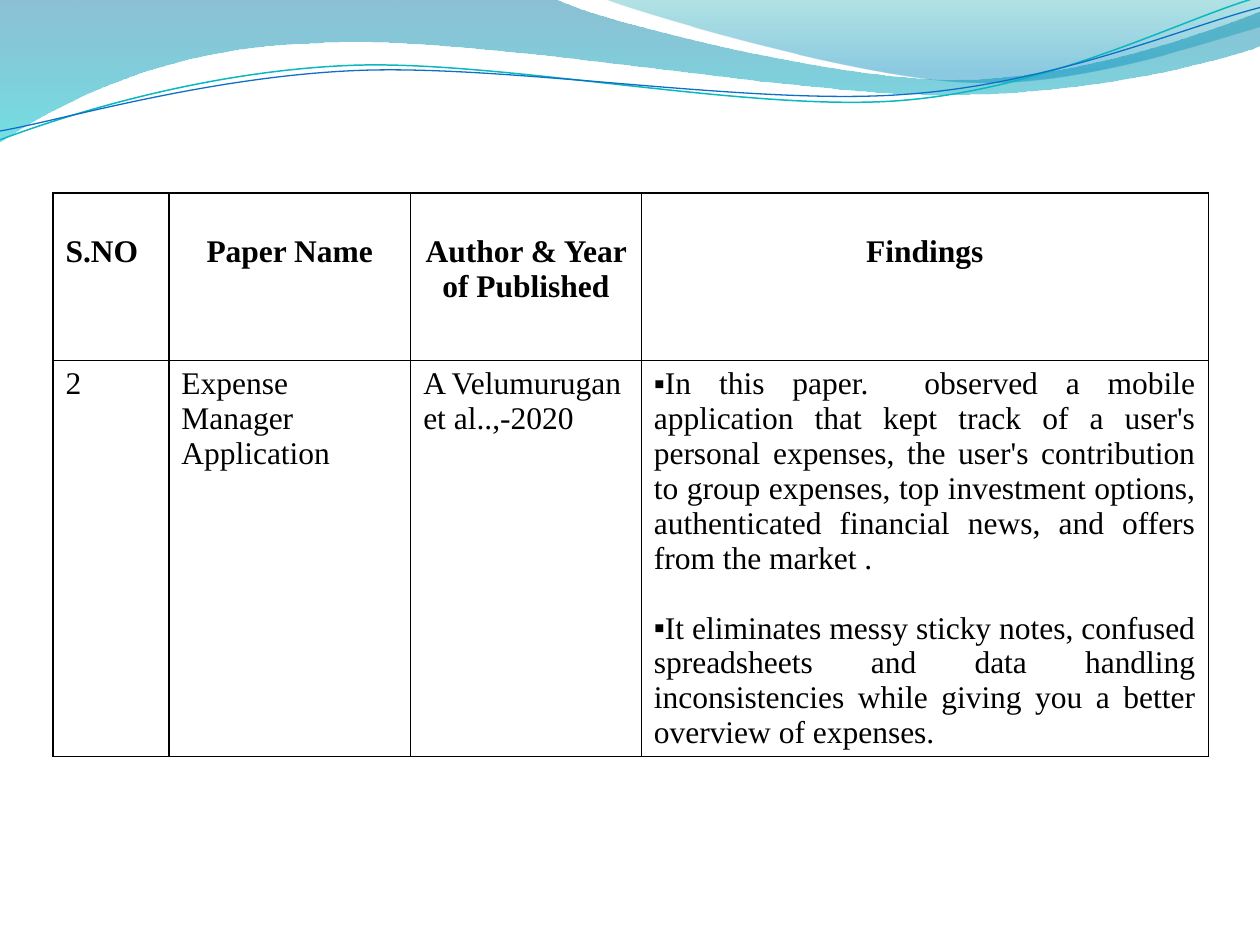
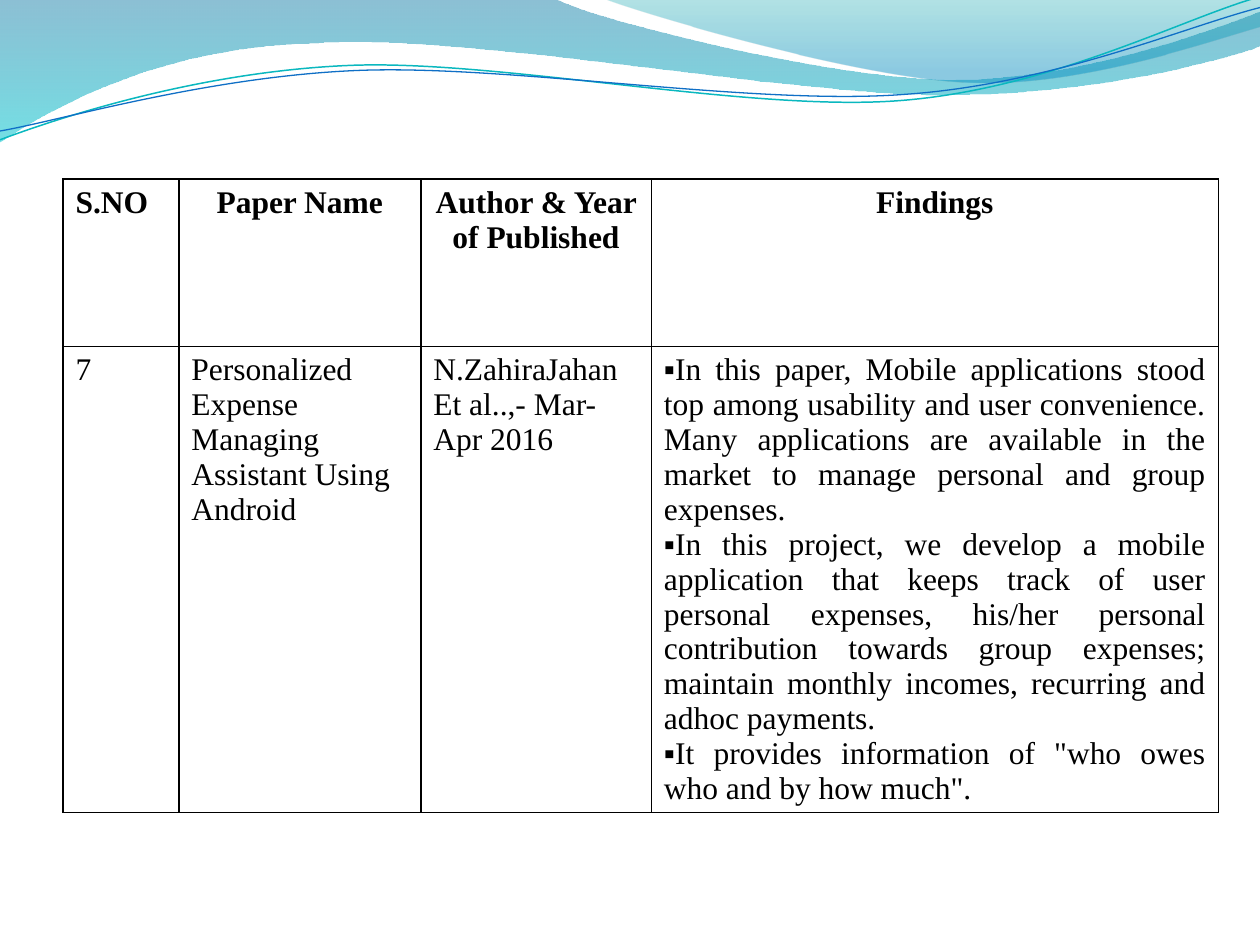
from dataclasses import dataclass

from lxml import etree
from pptx import Presentation
from pptx.dml.color import RGBColor
from pptx.enum.text import PP_ALIGN
from pptx.oxml.ns import qn
from pptx.util import Pt

EMU_PER_PX = 9144
LEFT, CENTER, JUSTIFY = PP_ALIGN.LEFT, PP_ALIGN.CENTER, PP_ALIGN.JUSTIFY

COLORS = {
    "deep_sea": "0074A1",
    "lagoon": "00C6CF",
    "teal": "00A1A9",
    "sky": "008BBF",
    "teal_line": "0AB8BF",
    "blue_line": "0F6FC6",
    "ink": "000000",
}
FONT = "Times New Roman"
BODY_FORMAT = {"name": FONT, "size": Pt(18), "bold": False}
HEADER_FORMAT = {**BODY_FORMAT, "bold": True}
BLANK_LINE = Pt(20)
BORDER_WIDTH = Pt(1)

COLUMN_WIDTHS = (92, 192, 183, 450)
HEADER_HEIGHT = 133
HEADERS = ("S.NO", "Paper Name", "Author & Year of Published", "Findings")
HEADER_ALIGNS = (LEFT, CENTER, CENTER, CENTER)
BODY_ALIGNS = (LEFT, LEFT, LEFT, JUSTIFY)


@dataclass(frozen=True)
class GradientStop:
    """A gradient colour with its position and opacity in percent."""

    position: int
    color: str
    opacity: int


@dataclass(frozen=True)
class Wave:
    """An outline of straight (2 values) and cubic (6 values) segments."""

    start: tuple[int, int]
    segments: tuple[tuple[int, ...], ...]
    stops: tuple[GradientStop, ...] = ()
    line_color: str = ""
    line_width: float = 0


@dataclass(frozen=True)
class PaperReview:
    """One reviewed paper and the layout of its table."""

    left: int
    top: int
    body_height: int
    header_margin: int
    number: str
    title: str
    author: tuple[str, ...]
    findings: tuple[str, ...]
    findings_gap: int


WAVES = (
    Wave(
        (0, 0),
        (
            (440, -1),
            (476, 17, 664, 63, 758, 63),
            (853, 63, 958, 26, 1000, 9),
            (1001, 36),
            (983, 44, 870, 76, 746, 75),
            (622, 75, 382, 28, 257, 34),
            (129, 36, 46, 83, -1, 113),
        ),
        stops=(GradientStop(0, "deep_sea", 45), GradientStop(100, "lagoon", 55)),
    ),
    Wave(
        (479, -1),
        (
            (509, 11, 682, 62, 769, 65),
            (856, 69, 961, 32, 1000, 21),
            (1000, 0),
        ),
        stops=(GradientStop(0, "teal", 30), GradientStop(80, "sky", 45)),
    ),
    Wave(
        (0, 111),
        (
            (48, 93, 158, 57, 277, 52),
            (395, 47, 593, 89, 713, 80),
            (833, 71, 938, 15, 998, -2),
        ),
        line_color="teal_line",
        line_width=0.85,
    ),
    Wave(
        (0, 104),
        (
            (47, 96, 164, 61, 283, 56),
            (403, 51, 597, 84, 717, 75),
            (836, 67, 941, 21, 1000, 6),
        ),
        line_color="blue_line",
        line_width=0.75,
    ),
)

REVIEWS = (
    PaperReview(
        left=42, top=153, body_height=314, header_margin=33,
        number="2",
        title="Expense Manager Application",
        author=("A Velumurugan", "et al..,-2020"),
        findings=(
            "In this paper.  observed a mobile application that kept track of "
            "a user's personal expenses, the user's contribution to group "
            "expenses, top investment options, authenticated financial news, "
            "and offers from the market .",
            "It eliminates messy sticky notes, confused spreadsheets and data "
            "handling inconsistencies while giving you a better overview of "
            "expenses.",
        ),
        findings_gap=BLANK_LINE,
    ),
    PaperReview(
        left=50, top=142, body_height=370, header_margin=5,
        number="7",
        title="Personalized Expense Managing Assistant Using Android",
        author=("N.ZahiraJahan Et al..,- Mar- Apr 2016",),
        findings=(
            "In this paper, Mobile applications stood top among usability and "
            "user convenience. Many applications are available in the market "
            "to manage personal and group expenses.",
            "In this project, we develop a mobile application that keeps track "
            "of user personal expenses, his/her personal contribution towards "
            "group expenses; maintain monthly incomes, recurring and adhoc "
            "payments.",
            'It provides information of "who owes who and by how much".',
        ),
        findings_gap=0,
    ),
)


def px(length: int) -> int:
    """Turn px into EMU."""
    return length * EMU_PER_PX


def rgb(name: str) -> RGBColor:
    """Look up a named colour."""
    return RGBColor.from_string(COLORS[name])


def bend(outline, segments: tuple[tuple[int, ...], ...]) -> None:
    """Merge the three steps of each cubic segment into one Bézier curve."""
    steps = iter(list(outline.element.iter(qn("a:lnTo"))))
    for segment in segments:
        first = next(steps)
        if len(segment) == 6:
            first.addprevious(curve := etree.Element(qn("a:cubicBezTo")))
            for step in (first, next(steps), next(steps)):
                curve.append(step[0])
                step.getparent().remove(step)


def draw_wave(slide, wave: Wave) -> None:
    """Draw a gradient band or a thin curve."""
    builder = slide.shapes.build_freeform(px(wave.start[0]), px(wave.start[1]))
    points = [(px(x), px(y)) for segment in wave.segments
              for x, y in zip(segment[::2], segment[1::2])]
    builder.add_line_segments(points, close=bool(wave.stops))
    outline = builder.convert_to_shape()
    bend(outline, wave.segments)
    outline.shadow.inherit = False
    if not wave.stops:
        outline.fill.background()
        outline.line.color.rgb = rgb(wave.line_color)
        outline.line.width = Pt(wave.line_width)
        return
    outline.line.fill.background()
    outline.fill.gradient()
    outline.fill.gradient_angle = 270
    for target, stop in zip(outline.fill.gradient_stops, wave.stops):
        target.position = stop.position / 100
        target.color.rgb = rgb(stop.color)
    for color, stop in zip(outline.element.iter(qn("a:srgbClr")), wave.stops):
        etree.SubElement(color, qn("a:alpha"), val=str(stop.opacity * 1000))


def outline_cell(cell) -> None:
    """Give a cell four solid borders and no fill."""
    properties = cell._tc.get_or_add_tcPr()
    for side in ("lnL", "lnR", "lnT", "lnB"):
        border = etree.SubElement(properties, qn(f"a:{side}"), w=str(BORDER_WIDTH))
        ink = etree.SubElement(border, qn("a:solidFill"))
        etree.SubElement(ink, qn("a:srgbClr"), val=COLORS["ink"])
    cell.fill.background()


def add_bullet(paragraph) -> None:
    """Put a small square directly before the text."""
    properties = paragraph._p.get_or_add_pPr()
    for name in ("marL", "indent"):
        properties.set(name, "0")
    etree.SubElement(properties, qn("a:buFont"), typeface=FONT)
    etree.SubElement(properties, qn("a:buChar"), char="▪")


def write_cell(cell, lines: tuple[str, ...], align: PP_ALIGN, text_format: dict,
               bulleted: bool = False, gap: int = 0) -> None:
    """Write formatted paragraphs into a bordered cell."""
    outline_cell(cell)
    cell.text_frame.text = "\n".join(lines)
    for index, paragraph in enumerate(cell.text_frame.paragraphs):
        paragraph.alignment = align
        if index and gap:
            paragraph.space_before = gap
        if bulleted:
            add_bullet(paragraph)
        for run in paragraph.runs:
            for name, value in text_format.items():
                setattr(run.font, name, value)
            run.font.color.rgb = rgb("ink")


def draw_review(slide, review: PaperReview) -> None:
    """Draw the table of one reviewed paper."""
    heights = (HEADER_HEIGHT, review.body_height)
    table = slide.shapes.add_table(
        len(heights), len(HEADERS), px(review.left), px(review.top),
        px(sum(COLUMN_WIDTHS)), px(sum(heights))).table
    table.first_row = table.horz_banding = False
    for column, width in zip(table.columns, COLUMN_WIDTHS):
        column.width = px(width)
    for row, height in zip(table.rows, heights):
        row.height = px(height)
    entries = ((review.number,), (review.title,), review.author, review.findings)
    for index, (header, entry) in enumerate(zip(HEADERS, entries)):
        heading = table.cell(0, index)
        write_cell(heading, (header,), HEADER_ALIGNS[index], HEADER_FORMAT)
        heading.margin_top = px(review.header_margin)
        is_findings = entry is review.findings
        write_cell(table.cell(1, index), entry, BODY_ALIGNS[index], BODY_FORMAT,
                   is_findings, review.findings_gap if is_findings else 0)


def main() -> None:
    """Build the literature review slides."""
    deck = Presentation()
    deck.slide_width, deck.slide_height = px(1000), px(750)
    for review in REVIEWS:
        slide = deck.slides.add_slide(deck.slide_layouts[6])
        for wave in WAVES:
            draw_wave(slide, wave)
        draw_review(slide, review)
    deck.save("out.pptx")


if __name__ == "__main__":
    main()
